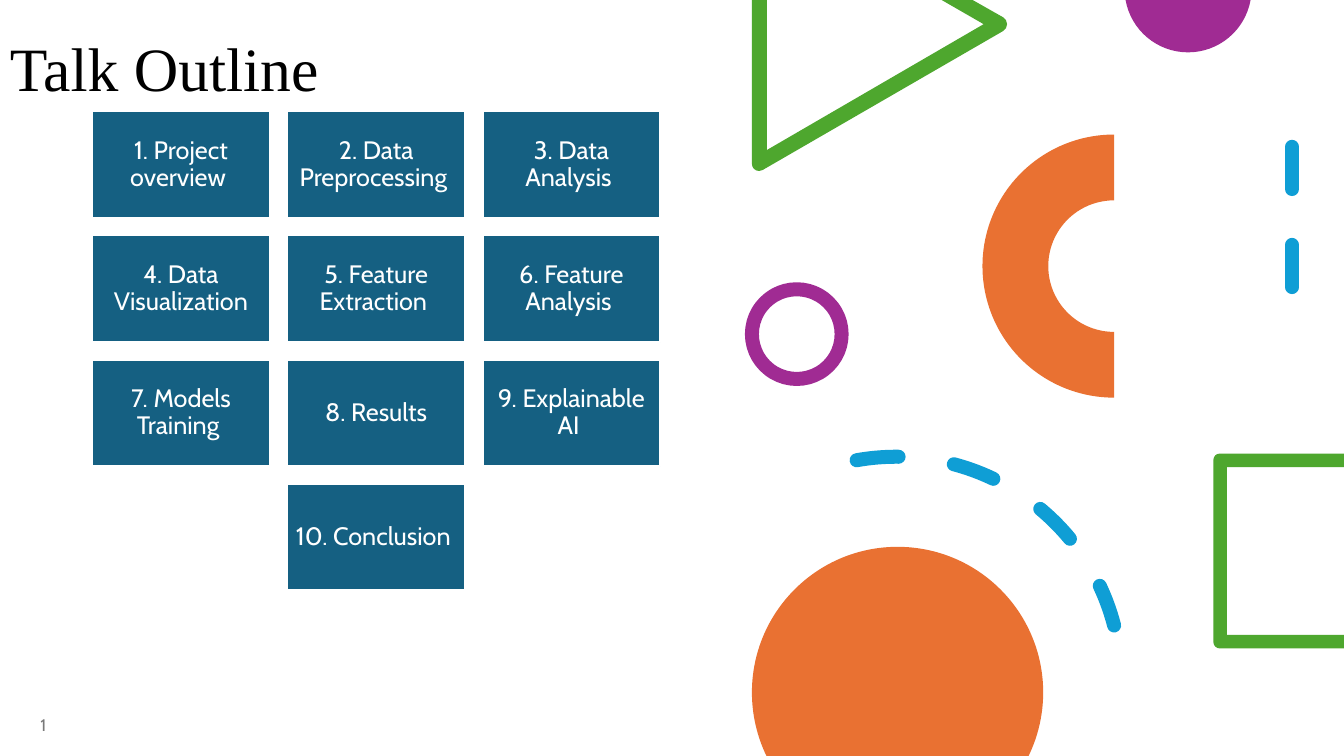
"""Build the talk outline slide."""
import math

from lxml import etree
from pptx import Presentation
from pptx.dml.color import RGBColor
from pptx.enum.dml import MSO_LINE
from pptx.enum.shapes import MSO_CONNECTOR, MSO_SHAPE
from pptx.enum.text import MSO_ANCHOR, PP_ALIGN
from pptx.oxml.ns import qn
from pptx.util import Cm, Pt

RECTANGLE, OVAL = MSO_SHAPE.RECTANGLE, MSO_SHAPE.OVAL
BLOCK_ARC, ARC = MSO_SHAPE.BLOCK_ARC, MSO_SHAPE.ARC
STRAIGHT, DASH = MSO_CONNECTOR.STRAIGHT, MSO_LINE.DASH
LEFT, CENTER, MIDDLE = PP_ALIGN.LEFT, PP_ALIGN.CENTER, MSO_ANCHOR.MIDDLE

WHITE, BLACK, GRAY = "FFFFFF", "000000", "797979"
TEAL, PURPLE, ORANGE = "156082", "A02B93", "E97132"
GREEN, BLUE = "4EA72E", "0F9ED5"
STROKE = 10
COLUMNS = 3
TOPICS = [
    "1. Project overview ", "2. Data Preprocessing ", "3. Data Analysis ",
    "4. Data Visualization", "5. Feature Extraction ", "6. Feature Analysis ",
    "7. Models Training ", "8. Results", "9. Explainable AI ",
    "10. Conclusion ",
]


def color(hex_string):
    """Return the colour for a hex string."""
    return RGBColor.from_string(hex_string)


def paint(shape, fill=None, line=None, width=STROKE):
    """Set the fill and outline of a shape and remove its shadow."""
    shape.shadow.inherit = False
    if fill:
        shape.fill.solid()
        shape.fill.fore_color.rgb = color(fill)
    else:
        shape.fill.background()
    if line:
        shape.line.color.rgb = color(line)
        shape.line.width = Pt(width)
    else:
        shape.line.fill.background()


def write(shape, text, font, size, hex_string, alignment, margin, spacing=1.0):
    """Put one formatted, vertically centred paragraph in a shape."""
    frame = shape.text_frame
    frame.text = text
    frame.word_wrap = True
    frame.vertical_anchor = MIDDLE
    frame.margin_left = frame.margin_right = Cm(margin)
    frame.margin_top = frame.margin_bottom = Cm(margin)
    paragraph = frame.paragraphs[0]
    paragraph.alignment = alignment
    paragraph.line_spacing = spacing
    font_format = paragraph.runs[0].font
    font_format.name = font
    font_format.size = Pt(size)
    font_format.color.rgb = color(hex_string)


def add_label(slide, box, *style):
    """Add a text box in the given box."""
    write(slide.shapes.add_textbox(*map(Cm, box)), *style)


def add_topics(slide, box):
    """Lay the topics out as a grid, centring a row that is not full."""
    left, top, width, height = box
    gap = 0.44
    rows = math.ceil(len(TOPICS) / COLUMNS)
    tile_width = (width - gap * (COLUMNS - 1)) / COLUMNS
    tile_height = (height - gap * (rows - 1)) / rows
    for index, topic in enumerate(TOPICS):
        row, column = divmod(index, COLUMNS)
        in_row = min(COLUMNS, len(TOPICS) - row * COLUMNS)
        column += (COLUMNS - in_row) / 2
        tile = slide.shapes.add_shape(
            RECTANGLE,
            Cm(left + column * (tile_width + gap)),
            Cm(top + row * (tile_height + gap)),
            Cm(tile_width), Cm(tile_height))
        paint(tile, TEAL, WHITE, 1.5)
        write(tile, topic, "Cabin", 18, WHITE, CENTER, 0.18, 0.9)


def round_steps(center_x, center_y, radius, *angles):
    """Return a start point and one Bezier step between each two angles."""
    def point(angle, pull=0):
        """Return the point at an angle, moved along the tangent by pull."""
        cosine, sine = math.cos(angle), math.sin(angle)
        return (center_x + radius * (cosine - pull * sine),
                center_y + radius * (sine + pull * cosine))

    turns = [math.radians(angle) for angle in angles]
    steps = [[point(turns[0])]]
    for start, end in zip(turns, turns[1:]):
        pull = 4 / 3 * math.tan((end - start) / 4)
        steps.append([point(start, pull), point(end, -pull), point(end)])
    return steps


def straight_steps(*points):
    """Return one straight step to each point."""
    return [[point] for point in points]


def add_outline(slide, origin, steps, fill):
    """Add a filled closed outline of straight and Bezier steps."""
    placed = [(Cm(origin[0] + x), Cm(origin[1] + y))
              for step in steps for x, y in step]
    builder = slide.shapes.build_freeform(*placed[0])
    builder.add_line_segments(placed[1:], close=True)
    shape = builder.convert_to_shape()
    segments = iter(list(shape._element.iter(qn("a:lnTo"))))
    for step in steps[1:]:
        first, *others = [next(segments) for _ in step]
        if others:
            first.tag = qn("a:cubicBezTo")
            for segment in others:
                first.append(segment[0])
                segment.getparent().remove(segment)
    paint(shape, fill)


def dash_round(shape):
    """Give a line round dashes."""
    shape.line.dash_style = DASH
    shape.line._get_or_add_ln().set("cap", "rnd")


def add_decoration(slide, box):
    """Draw the geometric shapes, cut off at the edges of the box."""
    left, top, width, height = box
    origin = left, top

    def add_round(kind, x, y, size, rotation=0, **look):
        """Add a square preset shape relative to the box."""
        shape = slide.shapes.add_shape(
            kind, Cm(left + x), Cm(top + y), Cm(size), Cm(size))
        shape.rotation = rotation
        paint(shape, **look)
        return shape

    half_disc = round_steps(10.99, -0.28, 1.6, 10.08, 90, 169.92)
    add_outline(slide, origin, half_disc, PURPLE)
    add_round(OVAL, 0, 7.29, 2.26, line=PURPLE)
    add_round(BLOCK_ARC, 5.81, 3.39, 6.63, 270, fill=ORANGE)

    triangle = straight_steps((0, 0), (0.38, 0), (0.38, 3.78), (5.84, 0.61),
                              (4.78, 0), (5.56, 0))
    triangle += round_steps(6.23, 0.61, 0.2, -60, 0, 60)
    triangle += round_steps(0.18, 4.13, 0.18, 60, 90, 180)
    add_outline(slide, origin, triangle, GREEN)

    line = slide.shapes.add_connector(
        STRAIGHT, Cm(left + 13.61), Cm(top + 3.7),
        Cm(left + 13.61), Cm(top + 8.12))
    line.line.color.rgb = color(BLUE)
    line.line.width = Pt(STROKE)
    dash_round(line)
    etree.SubElement(line._element.spPr, qn("a:effectLst"))

    frame = straight_steps((width, 11.43), (width, 11.77), (11.97, 11.77),
                           (11.97, 16), (width, 16), (width, 16.34))
    frame += round_steps(11.79, 16.18, 0.16, 90, 180)
    frame += round_steps(11.79, 11.59, 0.16, 180, 270)
    add_outline(slide, origin, frame, GREEN)

    dash_round(add_round(ARC, -2.04, 11.51, 11.35, 349.9, line=BLUE))
    center_y, radius = 17.45, 3.67
    cut = math.degrees(math.asin((height - center_y) / radius))
    disc = round_steps(radius, center_y, radius,
                       180 - cut, 180, 270, 360, 360 + cut)
    add_outline(slide, origin, disc, ORANGE)


def main():
    """Build and save the presentation."""
    presentation = Presentation()
    presentation.slide_width = Cm(33.87)
    presentation.slide_height = Cm(19.05)
    slide = presentation.slides.add_slide(presentation.slide_layouts[6])
    add_label(slide, (0, -0.03, 15.44, 3.68), "Talk Outline",
              "Times New Roman", 44, BLACK, LEFT, 0.25, 0.9)
    add_topics(slide, (2.32, 2.8, 14.32, 12.08))
    add_decoration(slide, (18.95, 0, 14.92, 19.05))
    add_label(slide, (0.65, 17.75, 0.89, 1.02), "1",
              "Cabin", 12, GRAY, CENTER, 0)
    presentation.save("out.pptx")


if __name__ == "__main__":
    main()
